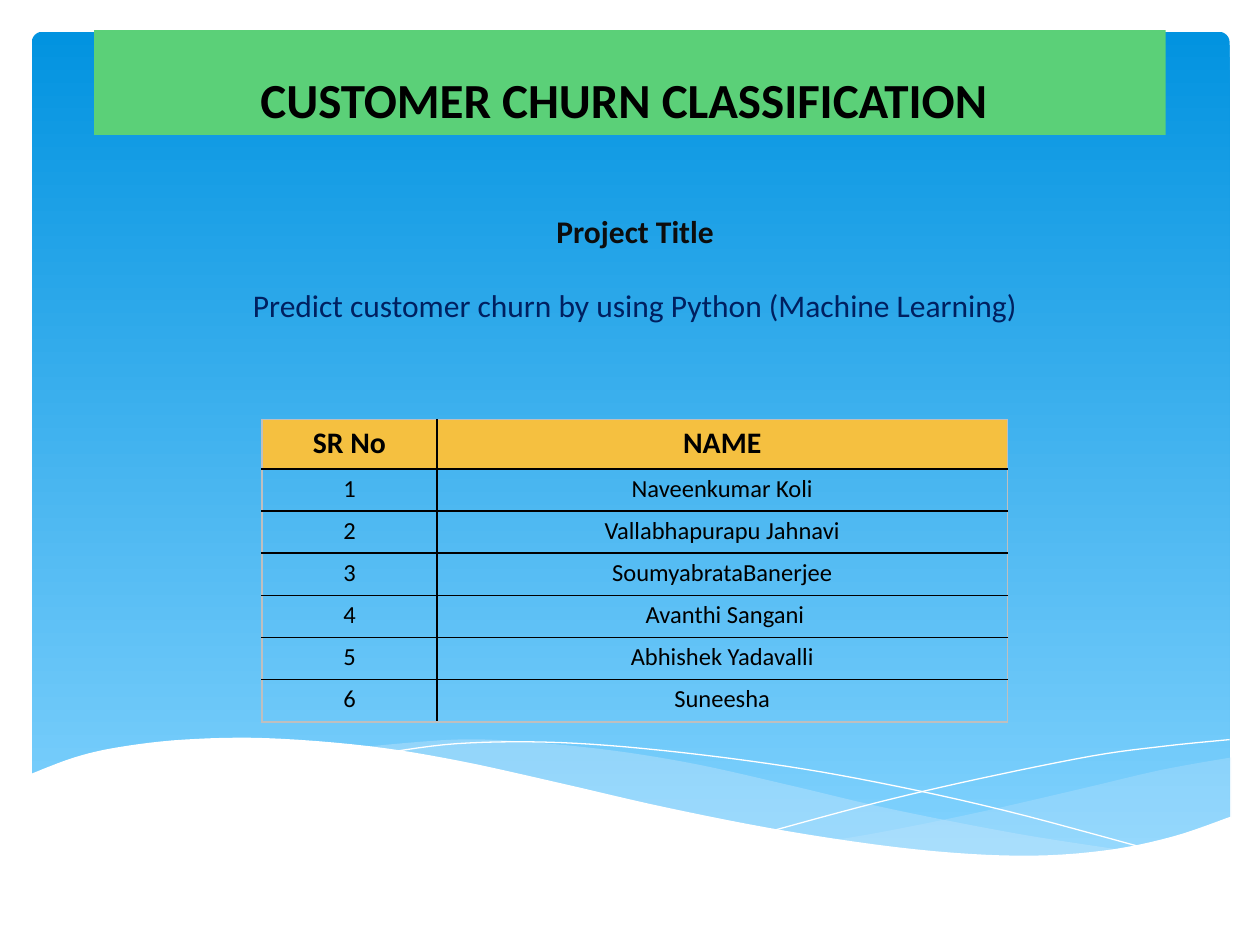
"""Build the title slide of a customer churn project."""
import lxml.etree
import pptx
import pptx.dml.color
import pptx.enum.shapes
import pptx.enum.text
import pptx.oxml.ns
import pptx.util

Cm, Pt = pptx.util.Cm, pptx.util.Pt
qn = pptx.oxml.ns.qn
FONT = "Calibri"

TITLE = "CUSTOMER CHURN CLASSIFICATION"
BODY = [("Project Title", "0D0D0D", True, 0),
        ("Predict customer churn by using Python (Machine Learning)", "002060", False, 21)]
HEADER = ("SR No", "NAME")
NAMES = ["Naveenkumar Koli", "Vallabhapurapu Jahnavi", "SoumyabrataBanerjee",
         " Avanthi Sangani", "Abhishek Yadavalli", "Suneesha"]
COL_WIDTHS = (3.53, 11.5)
HEADER_HEIGHT, ROW_HEIGHT = 0.99, 0.85

RIGHT_WAVE = [
    [(24.82, 15.27), (23.42, 15.52), (21.89, 15.88), (19.81, 16.36), (17.96, 16.74),
     (16.81, 16.94)],
    [(16.81, 16.94), (18.62, 17.17), (20.42, 17.27), (21.95, 17.2), (23.42, 16.94),
     (24.82, 16.48)]]
MIDDLE_WAVE = [
    [(22.71, 17.15), (20.52, 16.81), (17.96, 16.31), (16, 15.85), (14.1, 15.42),
     (12.42, 15.14), (10.67, 14.96), (9.19, 14.91), (7.29, 15.06)],
    [(7.29, 15.06), (9.22, 15.34), (11.43, 15.85), (13.46, 16.31), (15.72, 16.76),
     (17.68, 17.07), (19.66, 17.25), (21.31, 17.27), (22.71, 17.15)]]
FALLING_LINE = [
    [(7.87, 15.16), (9.22, 14.99), (11, 14.96), (12.98, 15.09), (15.47, 15.39),
     (17.68, 15.77), (20.22, 16.33), (23.06, 17.09)]]
RISING_LINE = [
    [(15.6, 16.74), (17.68, 16.18), (19.74, 15.7), (22.02, 15.24), (23.5, 15.04),
     (24.79, 14.91)]]
WHITE_WAVE = [
    [(24.82, 16.46), (23.62, 16.87), (22.23, 17.15), (20.55, 17.25), (18.44, 17.12),
     (15.9, 16.76), (13.44, 16.28), (11.35, 15.8), (9.27, 15.34), (7.42, 15.04),
     (5.36, 14.88), (3.71, 14.91), (2.41, 15.06), (1.5, 15.27), (0.58, 15.62)],
    [(0.58, 18.57), (24.82, 18.57)]]
WAVES = [(RIGHT_WAVE, "C6E7FC", 29), (MIDDLE_WAVE, "C6E7FC", 40), (FALLING_LINE, None, 0),
         (RISING_LINE, None, 0), (WHITE_WAVE, "FFFFFF", 100)]


def rgb(value):
    return pptx.dml.color.RGBColor.from_string(value)


def smooth(edge, steps=6):
    pts = [edge[0], *edge, edge[-1]]
    out = [edge[0]]
    for a, b, c, d in zip(pts, pts[1:], pts[2:], pts[3:]):
        for i in range(1, steps + 1):
            t = i / steps
            out.append(tuple(
                0.5 * (2 * q + (r - p) * t + (2 * p - 5 * q + 4 * r - s) * t ** 2
                       + (3 * q - p - 3 * r + s) * t ** 3)
                for p, q, r, s in zip(a, b, c, d)))
    return out


def add_wave(shapes, edges, color, opacity):
    pts = [(Cm(x), Cm(y)) for edge in edges for x, y in smooth(edge)]
    builder = shapes.build_freeform(*pts[0], scale=1.0)
    builder.add_line_segments(pts[1:], close=color is not None)
    sp = builder.convert_to_shape()
    sp.shadow.inherit = False
    if color is None:
        sp.fill.background()
        sp.line.color.rgb = rgb("FFFFFF")
        sp.line.width = Pt(0)
        return
    sp.line.fill.background()
    sp.fill.solid()
    sp.fill.fore_color.rgb = rgb(color)
    if opacity < 100:
        clr = sp.fill._xPr.find(".//" + qn("a:srgbClr"))
        lxml.etree.SubElement(clr, qn("a:alpha")).set("val", str(opacity * 1000))


def write(p, text, size, color, bold):
    p.text = text
    p.alignment = pptx.enum.text.PP_ALIGN.CENTER
    p.font.name, p.font.size, p.font.bold = FONT, Pt(size), bold
    p.font.color.rgb = rgb(color)


def set_border(cell, side, color):
    ln = lxml.etree.SubElement(cell._tc.get_or_add_tcPr(), qn("a:ln" + side), w=str(Pt(1)))
    fill = lxml.etree.SubElement(ln, qn("a:solidFill"))
    lxml.etree.SubElement(fill, qn("a:srgbClr"), val=color)


def add_names(shapes):
    rows = [HEADER, *((str(i), name) for i, name in enumerate(NAMES, 1))]
    last_row, last_col = len(rows) - 1, len(HEADER) - 1
    height = HEADER_HEIGHT + ROW_HEIGHT * len(NAMES)
    table = shapes.add_table(len(rows), len(HEADER), Cm(5.28), Cm(8.46),
                             Cm(sum(COL_WIDTHS)), Cm(height)).table
    table.first_row = table.horz_banding = False
    for col, width in zip(table.columns, COL_WIDTHS):
        col.width = Cm(width)
    for i, row in enumerate(rows):
        table.rows[i].height = Cm(ROW_HEIGHT if i else HEADER_HEIGHT)
        for j, text in enumerate(row):
            cell = table.cell(i, j)
            cell.margin_left = cell.margin_right = Cm(0.18)
            cell.margin_top = cell.margin_bottom = Cm(0.1)
            outer = {"L": j == 0, "R": j == last_col, "T": i == 0, "B": i == last_row}
            for side, is_outer in outer.items():
                set_border(cell, side, "BFBFBF" if is_outer else "000000")
            if i:
                cell.fill.background()
            else:
                cell.fill.solid()
                cell.fill.fore_color.rgb = rgb("F5C040")
            write(cell.text_frame.paragraphs[0], text, 14 if i else 17, "000000", i == 0)


def main():
    prs = pptx.Presentation()
    prs.slide_width, prs.slide_height = Cm(25.4), Cm(19.05)
    shapes = prs.slides.add_slide(prs.slide_layouts[6]).shapes
    kinds = pptx.enum.shapes.MSO_SHAPE

    panel = shapes.add_shape(kinds.ROUNDED_RECTANGLE, Cm(0.64), Cm(0.64), Cm(24.15), Cm(16.76))
    panel.adjustments[0] = 0.013
    panel.fill.gradient()
    panel.fill.gradient_angle = 270
    for stop, color in zip(panel.fill.gradient_stops, ("0293E0", "83D3FE")):
        stop.color.rgb = rgb(color)
    for wave in WAVES:
        add_wave(shapes, *wave)

    banner = shapes.add_shape(kinds.RECTANGLE, Cm(1.9), Cm(0.61), Cm(21.6), Cm(2.11))
    banner.fill.solid()
    banner.fill.fore_color.rgb = rgb("5BD078")
    for sp in (panel, banner):
        sp.shadow.inherit = False
        sp.line.fill.background()
    tf = banner.text_frame
    tf.vertical_anchor = pptx.enum.text.MSO_ANCHOR.BOTTOM
    tf.margin_right = Cm(0.5)
    write(tf.paragraphs[0], TITLE, 28, "000000", True)

    tf = shapes.add_textbox(Cm(2.11), Cm(4.14), Cm(21.39), Cm(2.57)).text_frame
    tf.word_wrap = True
    for i, (text, color, bold, gap) in enumerate(BODY):
        p = tf.add_paragraph() if i else tf.paragraphs[0]
        write(p, text, 18, color, bold)
        p.space_before = Pt(gap)

    add_names(shapes)
    prs.save("out.pptx")


if __name__ == "__main__":
    main()
